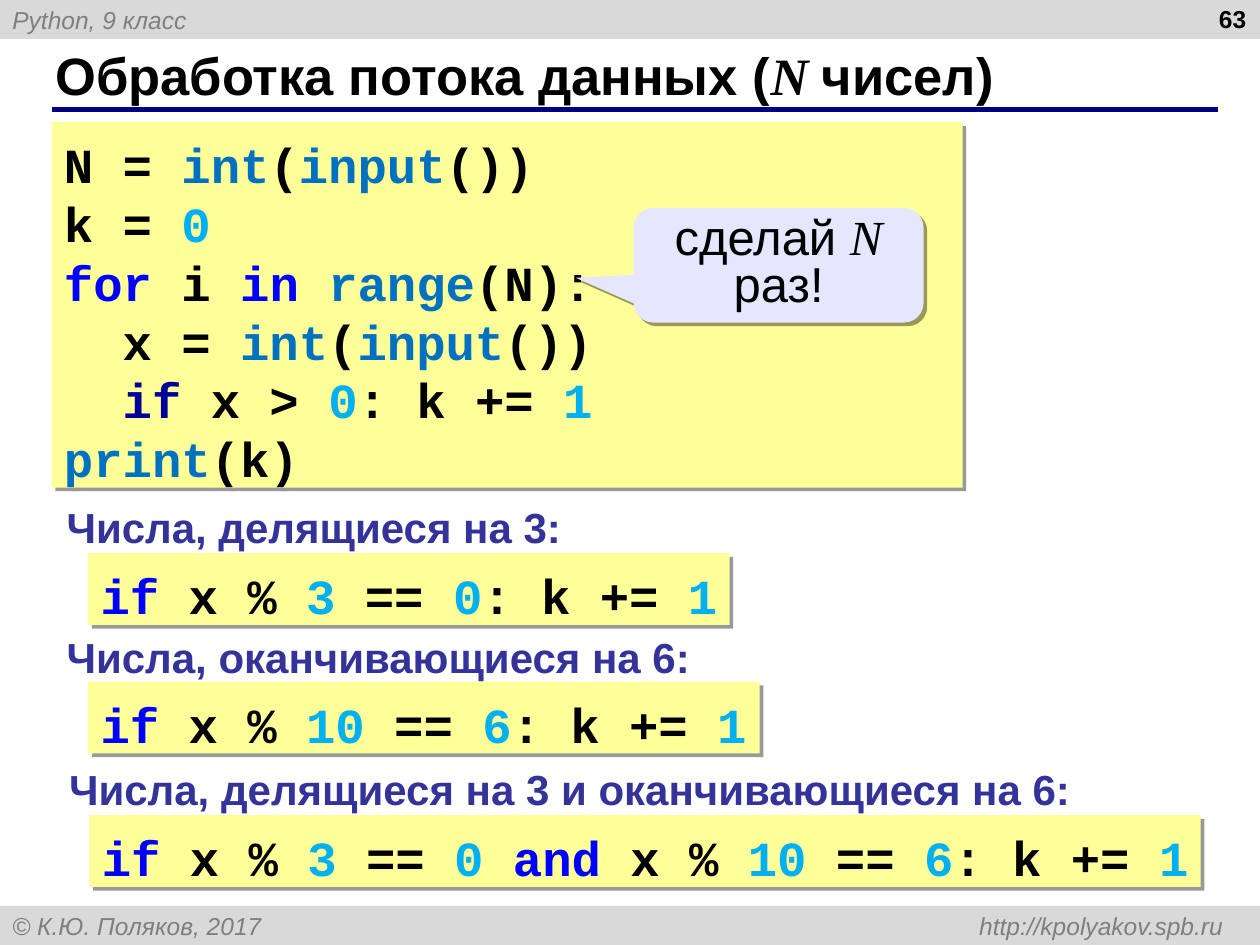
from dataclasses import dataclass
from itertools import groupby

from lxml import etree
from pptx import Presentation
from pptx.dml.color import RGBColor
from pptx.enum import shapes, text
from pptx.oxml.ns import qn
from pptx.util import Inches, Pt

WIDTH, HEIGHT = 10, 7.5
BAR_HEIGHT = 0.31
LEADING = 1.2  # line pitch as a share of the font size

BLACK = RGBColor(0x00, 0x00, 0x00)
GREY = RGBColor(0x7F, 0x7F, 0x7F)
BAR_GREY = RGBColor(0xD9, 0xD9, 0xD9)
NAVY = RGBColor(0x00, 0x00, 0x80)
INDIGO = RGBColor(0x33, 0x33, 0x99)
YELLOW = RGBColor(0xFF, 0xFF, 0x99)
LAVENDER = RGBColor(0xE6, 0xE6, 0xFF)
KEYWORD = RGBColor(0x00, 0x00, 0xFF)
DARK_KEYWORD = RGBColor(0x00, 0x00, 0x99)
BUILTIN = RGBColor(0x00, 0x70, 0xC0)
NUMBER = RGBColor(0x00, 0xB0, 0xF0)

SYNTAX = {word: KEYWORD for word in ("for", "in", "if", "and")}
SYNTAX |= {word: BUILTIN for word in ("int", "input", "range", "print")}


@dataclass
class Box:
    left: float
    top: float
    width: float
    height: float

    def emu(self) -> tuple:
        return tuple(Inches(v) for v in (self.left, self.top, self.width, self.height))


@dataclass
class Example:
    caption: str
    caption_box: Box
    code: str
    code_box: Box


PROGRAM = """N = int(input())
k = 0
for i in range(N):
  x = int(input())
  if x > 0: k += 1
print(k)"""

EXAMPLES = [
    Example("Числа, делящиеся на 3:", Box(0.43, 3.93, 4.13, 0.5),
            "if x % 3 == 0: k += 1", Box(0.7, 4.39, 5.09, 0.57)),
    Example("Числа, оканчивающиеся на 6:", Box(0.43, 4.96, 5.15, 0.5),
            "if x % 10 == 6: k += 1", Box(0.7, 5.41, 5.33, 0.57)),
    Example("Числа, делящиеся на 3 и оканчивающиеся на 6:", Box(0.45, 6.01, 8.16, 0.5),
            "if x % 3 == 0 and x % 10 == 6: k += 1", Box(0.71, 6.47, 8.82, 0.57)),
]


def style(font, size: float, color: RGBColor, name: str = "Arial",
          bold: bool = False, italic: bool = False) -> None:
    font.name, font.size, font.bold, font.italic = name, Pt(size), bold, italic
    font.color.rgb = color


def add_panel(slide, kind, box: Box, color: RGBColor):
    panel = slide.shapes.add_shape(kind, *box.emu())
    panel.shadow.inherit = False
    panel.fill.solid()
    panel.fill.fore_color.rgb = color
    panel.line.fill.background()
    return panel


def cast_shadow(panel) -> None:
    effects = panel._element.spPr.find(qn("a:effectLst"))
    shadow = etree.SubElement(effects, qn("a:outerShdw"), blurRad="0", dist=str(Pt(3)),
                              dir=str(45 * 60000), algn="tl", rotWithShape="0")
    color = etree.SubElement(shadow, qn("a:srgbClr"), val="000000")
    etree.SubElement(color, qn("a:alpha"), val="40000")


def add_bar(slide, top: float, label: str, right_tab: float | None = None) -> None:
    bar = add_panel(slide, shapes.MSO_SHAPE.RECTANGLE,
                    Box(0, top, WIDTH, BAR_HEIGHT), BAR_GREY)
    bar.text_frame.vertical_anchor = text.MSO_ANCHOR.MIDDLE
    line = bar.text_frame.paragraphs[0]
    line.text = label
    line.alignment = text.PP_ALIGN.LEFT
    if right_tab:
        tabs = etree.SubElement(line._p.get_or_add_pPr(), qn("a:tabLst"))
        etree.SubElement(tabs, qn("a:tab"), pos=str(Inches(right_tab)), algn="r")
    style(line.font, 14, GREY, italic=True)


def add_label(slide, box: Box, label: str, size: float, color: RGBColor,
              align=text.PP_ALIGN.LEFT, wrap: bool = False) -> None:
    frame = slide.shapes.add_textbox(*box.emu()).text_frame
    frame.word_wrap = wrap
    line = frame.paragraphs[0]
    line.text = label
    line.alignment = align
    line.line_spacing = Pt(size * LEADING)
    style(line.font, size, color, bold=True)


def add_code(slide, box: Box, code: str, syntax: dict) -> None:
    """Draw code on a yellow panel, coloured word by word."""
    panel = add_panel(slide, shapes.MSO_SHAPE.RECTANGLE, box, YELLOW)
    cast_shadow(panel)
    frame = panel.text_frame
    frame.word_wrap = False
    frame.vertical_anchor = text.MSO_ANCHOR.TOP
    frame.margin_top, frame.margin_bottom = Inches(0.1), 0
    for row, source_line in enumerate(code.splitlines()):
        line = frame.add_paragraph() if row else frame.paragraphs[0]
        line.alignment = text.PP_ALIGN.LEFT
        line.line_spacing = Pt(28 * LEADING)
        style(line.font, 28, BLACK, "Courier New", bold=True)
        for _, letters in groupby(source_line, str.isalnum):
            run = line.add_run()
            run.text = "".join(letters)
            color = NUMBER if run.text.isdigit() else syntax.get(run.text, BLACK)
            style(run.font, 28, color, "Courier New", bold=True)


def add_phrase(line, before: str, after: str, size: float, bold: bool) -> None:
    """Write a phrase around the italic variable N."""
    for part, name in ((before, "Arial"), ("N ", "Times New Roman"), (after, "Arial")):
        run = line.add_run()
        run.text = part
        style(run.font, size, BLACK, name, bold, italic=name != "Arial")


def add_title(slide) -> None:
    title = slide.shapes.title
    title.left, title.top, title.width, title.height = Box(0.34, 0.33, 9.16, 0.52).emu()
    title.text_frame.vertical_anchor = text.MSO_ANCHOR.MIDDLE
    title.text_frame.auto_size = text.MSO_AUTO_SIZE.NONE
    line = title.text_frame.paragraphs[0]
    line.alignment = text.PP_ALIGN.LEFT
    add_phrase(line, "Обработка потока данных (", "чисел)", 30, bold=True)

    rule = slide.shapes.add_connector(shapes.MSO_CONNECTOR.STRAIGHT, Inches(0.41),
                                      Inches(0.87), Inches(9.67), Inches(0.87))
    rule.line.color.rgb = NAVY
    rule.line.width = Pt(3)
    etree.SubElement(rule._element.spPr, qn("a:effectLst"))


def add_callout(slide) -> None:
    callout = add_panel(slide, shapes.MSO_SHAPE.ROUNDED_RECTANGULAR_CALLOUT,
                        Box(5.03, 1.65, 2.3, 0.91), LAVENDER)
    for index, value in enumerate((-0.7, 0.11, 0.17)):
        callout.adjustments[index] = value
    cast_shadow(callout)
    callout.text_frame.word_wrap = True
    callout.text_frame.vertical_anchor = text.MSO_ANCHOR.MIDDLE
    line = callout.text_frame.paragraphs[0]
    line.alignment = text.PP_ALIGN.CENTER
    line.line_spacing = Pt(28 * LEADING * 0.8)
    add_phrase(line, "сделай ", "раз!", 28, bold=False)


def main() -> None:
    deck = Presentation()
    deck.slide_width, deck.slide_height = Inches(WIDTH), Inches(HEIGHT)
    slide = deck.slides.add_slide(deck.slide_layouts.get_by_name("Title Only"))

    add_bar(slide, 0, "Python, 9 класс")
    add_bar(slide, HEIGHT - BAR_HEIGHT,
            "© К.Ю. Поляков, 2017\thttp://kpolyakov.spb.ru", right_tab=9.61)
    add_title(slide)
    add_label(slide, Box(7.66, -0.02, 2.33, 0.52), "63", 14, BLACK,
              text.PP_ALIGN.RIGHT, wrap=True)
    add_code(slide, Box(0.41, 0.97, 7.23, 2.9), PROGRAM, SYNTAX | {"if": DARK_KEYWORD})
    add_callout(slide)
    for example in EXAMPLES:
        add_label(slide, example.caption_box, example.caption, 24, INDIGO)
        add_code(slide, example.code_box, example.code, SYNTAX)
    deck.save("out.pptx")


if __name__ == "__main__":
    main()
